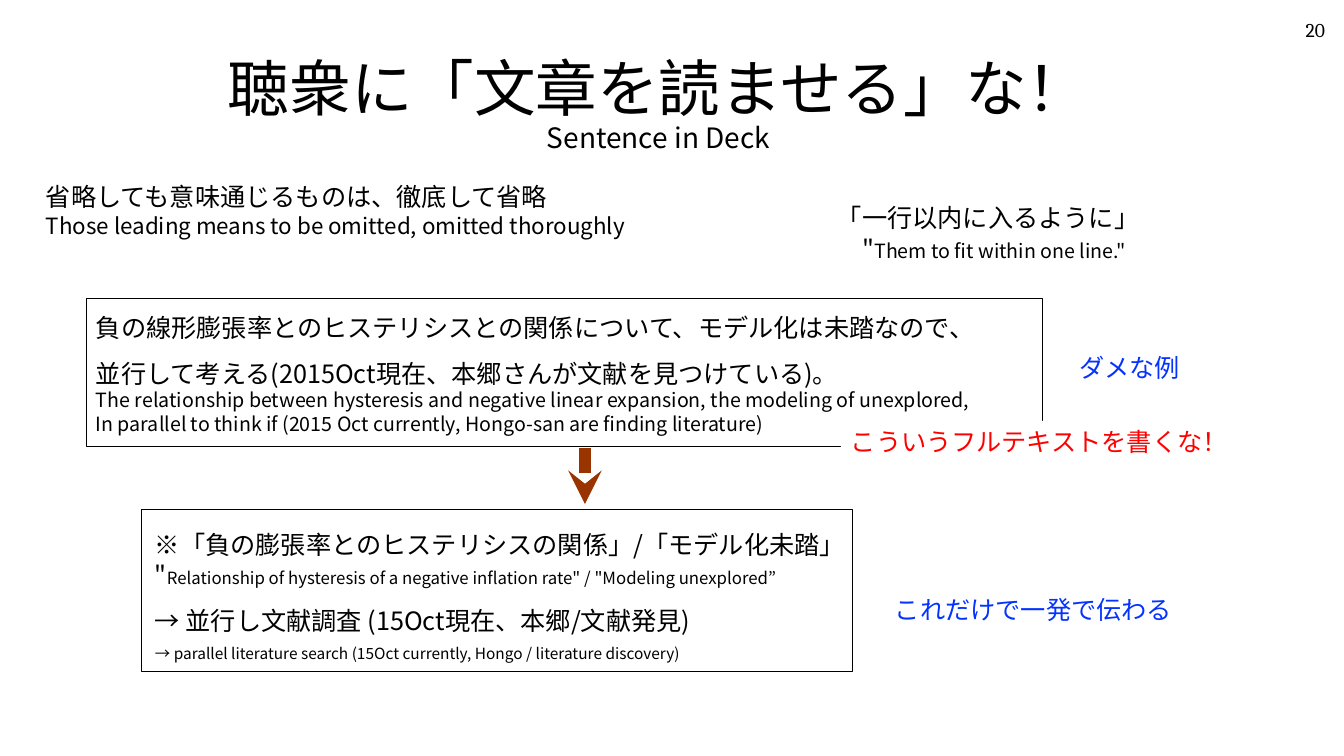
from pptx import Presentation
from pptx.dml.color import RGBColor
from pptx.enum.shapes import MSO_CONNECTOR as Link, MSO_SHAPE as Shape
from pptx.enum.text import MSO_ANCHOR as Anchor, MSO_AUTO_SIZE as Fit, PP_ALIGN as Align
from pptx.oxml.ns import qn
from pptx.util import Pt
from lxml.etree import SubElement

PX = 914400 / 100.8
SANS, SERIF = "Noto Sans CJK JP", "Cambria"
BLACK, BLUE, RED, BROWN, WHITE = "000000", "0432FF", "FF0000", "993300", "FFFFFF"
L, C, R = Align.LEFT, Align.CENTER, Align.RIGHT

TITLE = ((213, 52, 891, 108),
         [("聴衆に「文章を読ませる」な！", 44), ("Sentence in Deck", 20)])
PAGE = (1033, 10, 302, 40), "20"

# Each paragraph: alignment, line spacing, runs of (text, size)
NOTES = [
    ((36, 171, 653, 78), [
        (L, 1, [("省略しても意味通じるものは、徹底して省略", 18)]),
        (L, 1, [("Those leading means to be omitted, omitted thoroughly", 16)])]),
    ((827, 204, 335, 58), [
        (L, 1, [("「一行以内に入るように」", 18)]),
        (C, 1, [('"', 18), ('Them to fit within one line."', 14)])]),
    ((145, 506, 782, 165), [
        (L, 1.5, [("※「負の膨張率とのヒステリシスの関係」/「モデル化未踏」", 18)]),
        (L, 1, [('"', 18), ('Relationship of hysteresis of a negative inflation rate" '
                            '/ "Modeling unexplored”', 12)]),
        (L, 1.5, [("→ 並行し文献調査 (15Oct現在、本郷/文献発見)", 18)]),
        (L, 1.5, [("→ parallel literature search "
                   "(15Oct currently, Hongo / literature discovery)", 11)])]),
    ((86, 298, 956, 137), [
        (L, 1.5, [("負の線形膨張率とのヒステリシスとの関係について、モデル化は未踏なので、", 18)]),
        (L, 1.5, [("並行して考える(2015Oct現在、本郷さんが文献を見つけている)。", 18)]),
        (L, 1, [("The relationship between hysteresis and negative linear expansion, "
                 "the modeling of unexplored,", 14)]),
        (L, 1, [("In parallel to think if (2015 Oct currently, "
                 "Hongo-san are finding literature)", 14)])]),
]
LABELS = [
    ((1070, 347, 122, 40), "ダメな例", BLUE),
    ((885, 589, 300, 40), "これだけで一発で伝わる", BLUE),
]
WARN = (841, 421, 402, 40), "こういうフルテキストを書くな！"
FRAMES = [(86, 298, 956, 148), (141, 509, 711, 162)]
ARROW = (585, 448, 585, 504)


def emu(box):
    return [round(n * PX) for n in box]


def rgb(code):
    return RGBColor.from_string(code)


def add_run(para, text, size, color=BLACK, face=SANS):
    run = para.add_run()
    run.text = text
    font = run.font
    font.size, font.name = Pt(size), face
    font.color.rgb = rgb(color)
    SubElement(run._r.get_or_add_rPr(), qn("a:ea")).set("typeface", face)


def fill_text(frame, paras, color=BLACK, face=SANS, wrap=True, anchor=Anchor.MIDDLE):
    frame.word_wrap, frame.vertical_anchor = wrap, anchor
    for i, (align, space, runs) in enumerate(paras):
        para = frame.add_paragraph() if i else frame.paragraphs[0]
        para.alignment, para.line_spacing = align, space
        for text, size in runs:
            add_run(para, text, size, color, face)


def add_text(box, paras, **style):
    fill_text(shapes.add_textbox(*emu(box)).text_frame, paras, **style)


def add_rect(box):
    rect = shapes.add_shape(Shape.RECTANGLE, *emu(box))
    rect.shadow.inherit = False
    return rect


deck = Presentation()
deck.slide_width, deck.slide_height = emu((1344, 756))
slide = deck.slides.add_slide(deck.slide_layouts[5])
shapes = slide.shapes

box, heads = TITLE
title = shapes.title
title.left, title.top, title.width, title.height = emu(box)
frame = title.text_frame
frame.word_wrap, frame.vertical_anchor = False, Anchor.BOTTOM
frame.auto_size = Fit.NONE
para = frame.paragraphs[0]
para.alignment, para.line_spacing = C, 0.9
for i, head in enumerate(heads):
    if i:
        para.add_line_break()
    add_run(para, *head)

for box, paras in NOTES:
    add_text(box, paras)

arrow = shapes.add_connector(Link.STRAIGHT, *emu(ARROW))
arrow.line.color.rgb, arrow.line.width = rgb(BROWN), Pt(8)
SubElement(arrow.line._get_or_add_ln(), qn("a:tailEnd")).set("type", "stealth")
SubElement(arrow._element.spPr, qn("a:effectLst"))

box, page = PAGE
add_text(box, [(R, 1, [(page, 14)])], face=SERIF)
for box, text, color in LABELS:
    add_text(box, [(L, 1, [(text, 18)])], color=color, wrap=False, anchor=Anchor.TOP)

for box in FRAMES:
    rect = add_rect(box)
    rect.fill.background()
    rect.line.color.rgb, rect.line.width = rgb(BLACK), Pt(0.5)

box, text = WARN
warn = add_rect(box)
warn.fill.solid()
warn.fill.fore_color.rgb = rgb(WHITE)
warn.line.fill.background()
fill_text(warn.text_frame, [(L, 1, [(text, 18)])], RED, wrap=True, anchor=Anchor.TOP)

deck.save("out.pptx")
